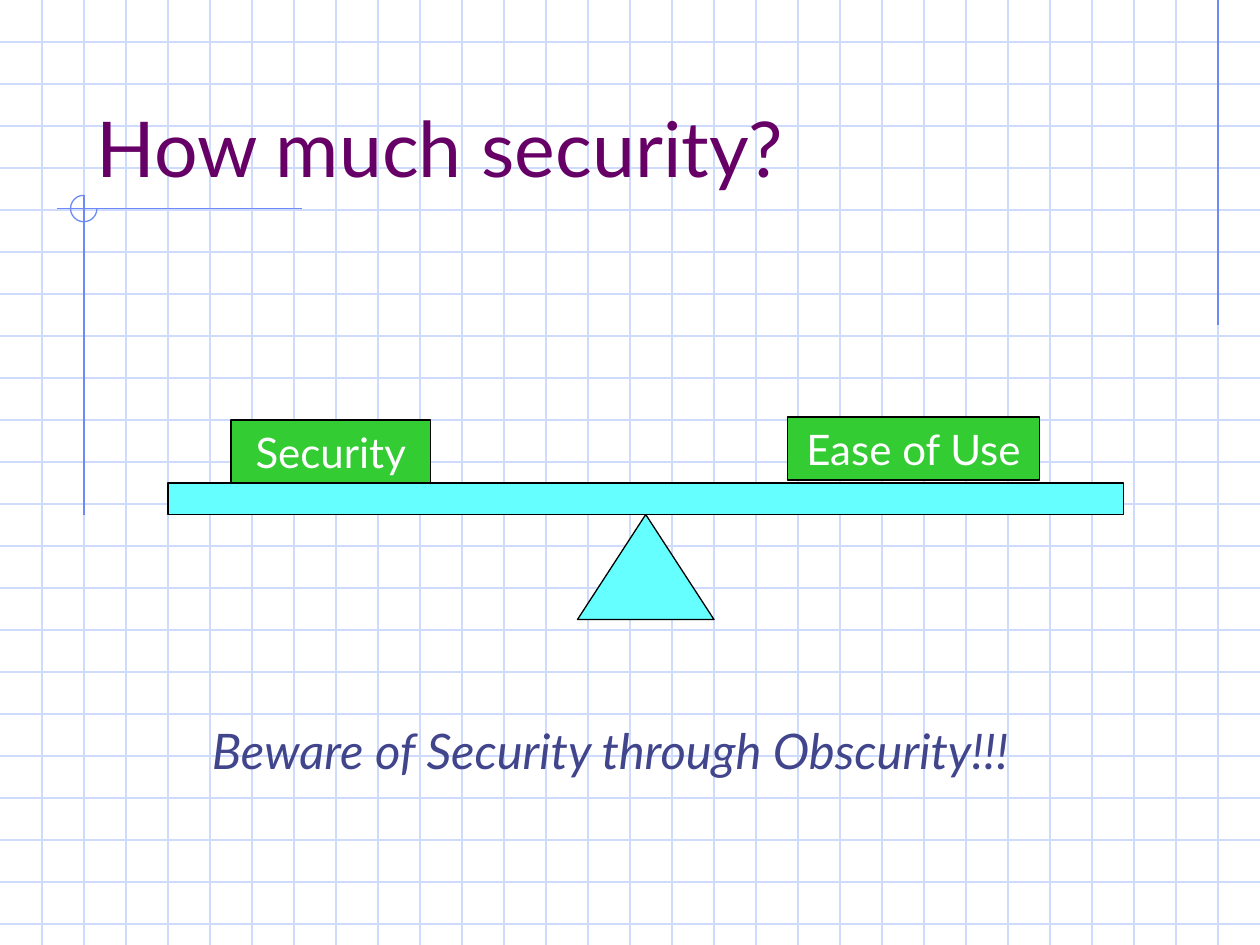
from dataclasses import dataclass
from typing import Optional

from lxml import etree
from pptx import Presentation, util as u
from pptx.dml.color import RGBColor
from pptx.enum import shapes, text
from pptx.oxml import ns

COLUMNS, ROWS = 30, 22.5
CELL = u.Inches(10) / COLUMNS


@dataclass(frozen=True)
class Theme:
    font: str = "Lato"
    grid: str = "CFDBFD"
    accent: str = "6F89F7"
    title: str = "660066"
    caption: str = "40458C"
    scale: str = "66FFFF"
    weight: str = "33CC33"
    outline: str = "000000"
    label: str = "FFFFFF"
    title_size: int = 44
    caption_size: int = 28
    label_size: int = 24
    stroke: float = 0.75


@dataclass(frozen=True)
class Area:
    column: float
    row: float
    columns: float
    rows: float

    def lengths(self) -> list:
        return [cells(n) for n in (self.column, self.row, self.columns, self.rows)]


@dataclass(frozen=True)
class Rule:
    start: tuple
    end: tuple
    color: str


@dataclass(frozen=True)
class Block:
    kind: shapes.MSO_SHAPE
    area: Area
    fill: Optional[str]
    line: str
    label: str = ""
    wrap: bool = True


THEME = Theme()
GRID = [Rule((0, n), (COLUMNS, n), THEME.grid) for n in range(1, int(ROWS) + 1)]
GRID += [Rule((n, 0), (n, ROWS), THEME.grid) for n in range(1, COLUMNS)]
ACCENTS = [
    Rule((29, 0), (29, 7.75), THEME.accent),
    Rule((7.2, 4.97), (1.35, 4.97), THEME.accent),
    Rule((2, 4.65), (2, 12.27), THEME.accent),
]
ORIGIN_MARK = Block(shapes.MSO_SHAPE.ARC, Area(1.68, 4.65, 0.63, 0.63), None, THEME.accent)
BALANCE = [
    Block(shapes.MSO_SHAPE.ISOSCELES_TRIANGLE, Area(13.75, 12.25, 3.25, 2.5),
          THEME.scale, THEME.outline),
    Block(shapes.MSO_SHAPE.RECTANGLE, Area(4, 11.5, 22.75, 0.75),
          THEME.scale, THEME.outline),
    Block(shapes.MSO_SHAPE.RECTANGLE, Area(5.5, 10, 4.75, 1.5),
          THEME.weight, THEME.outline, "Security"),
    Block(shapes.MSO_SHAPE.RECTANGLE, Area(18.75, 9.93, 6, 1.5),
          THEME.weight, THEME.outline, "Ease of Use", wrap=False),
]


def cells(count: float) -> int:
    return u.Emu(round(count * CELL))


def set_line(line, color: str) -> None:
    line.color.rgb = RGBColor.from_string(color)
    line.width = u.Pt(THEME.stroke)


def draw_rule(page, rule: Rule) -> None:
    ends = [cells(n) for n in rule.start + rule.end]
    connector = page.shapes.add_connector(shapes.MSO_CONNECTOR.STRAIGHT, *ends)
    set_line(connector.line, rule.color)
    etree.SubElement(connector.element.spPr, ns.qn("a:effectLst"))


def write(frame, words: str, *, size: float, color: str, italic: bool = False,
          align=text.PP_ALIGN.LEFT, anchor=text.MSO_ANCHOR.TOP, wrap: bool = True) -> None:
    frame.auto_size = text.MSO_AUTO_SIZE.NONE
    frame.word_wrap = wrap
    frame.vertical_anchor = anchor
    para = frame.paragraphs[0]
    para.alignment = align
    span = para.add_run()
    span.text = words
    span.font.name = THEME.font
    span.font.size = u.Pt(size)
    span.font.italic = italic
    span.font.color.rgb = RGBColor.from_string(color)


def draw_block(page, block: Block):
    shape = page.shapes.add_shape(block.kind, *block.area.lengths())
    shape.shadow.inherit = False
    if block.fill:
        shape.fill.solid()
        shape.fill.fore_color.rgb = RGBColor.from_string(block.fill)
    else:
        shape.fill.background()
    set_line(shape.line, block.line)
    if block.label:
        write(shape.text_frame, block.label, size=THEME.label_size, color=THEME.label,
              align=text.PP_ALIGN.CENTER, wrap=block.wrap)
    return shape


def place_title(page, words: str, area: Area) -> None:
    title = page.shapes.title
    title.left, title.top, title.width, title.height = area.lengths()
    write(title.text_frame, words, size=THEME.title_size, color=THEME.title,
          anchor=text.MSO_ANCHOR.BOTTOM)
    title.element.getparent().append(title.element)


def main() -> None:
    deck = Presentation()
    deck.slide_width, deck.slide_height = cells(COLUMNS), cells(ROWS)
    page = deck.slides.add_slide(deck.slide_layouts[5])
    for rule in GRID + ACCENTS:
        draw_rule(page, rule)
    mark = draw_block(page, ORIGIN_MARK)
    three_quarter_turn = 270 * 60000 / 100000
    mark.adjustments[0], mark.adjustments[1] = 0, three_quarter_turn
    place_title(page, "How much security?", Area(2, 1, 25.5, 3.75))
    for block in BALANCE:
        draw_block(page, block)
    box = page.shapes.add_textbox(*Area(4.75, 17, 23.25, 1.7).lengths())
    write(box.text_frame, "Beware of Security through Obscurity!!!",
          size=THEME.caption_size, color=THEME.caption, italic=True)
    deck.save("out.pptx")


if __name__ == "__main__":
    main()
